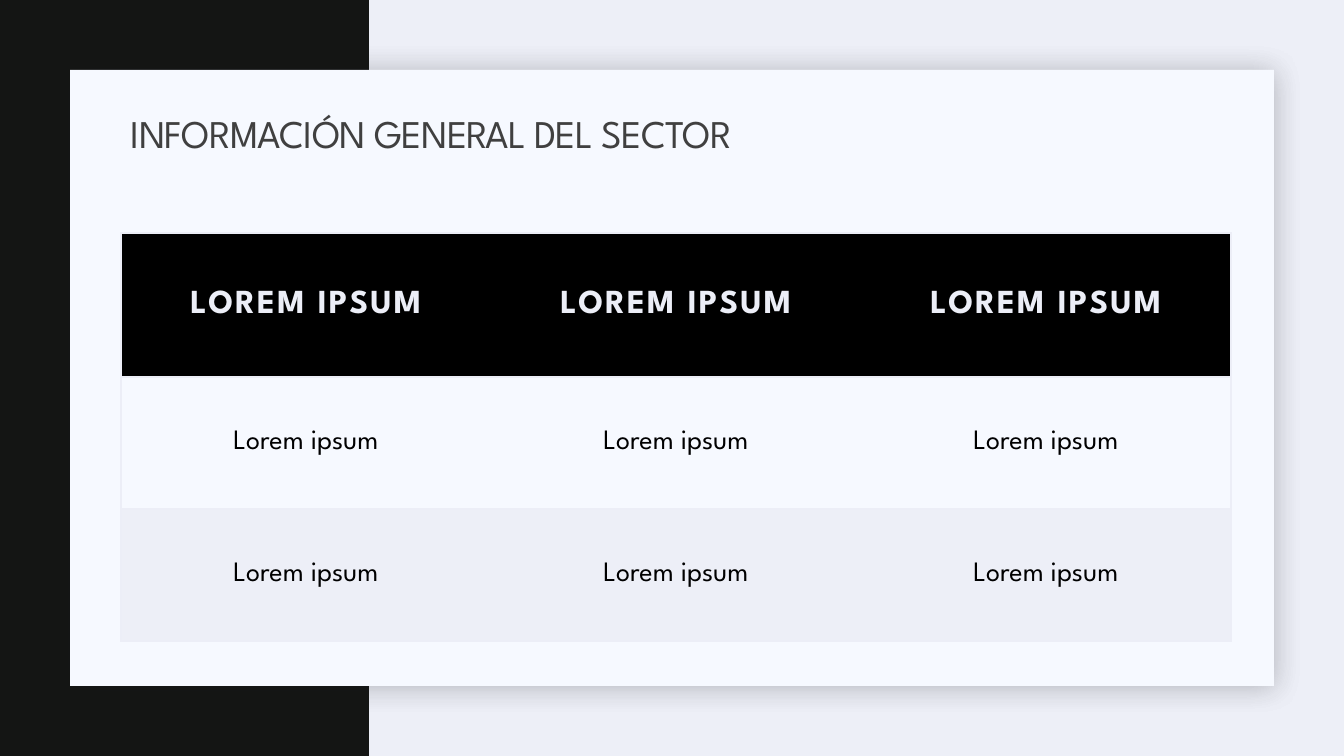
import lxml.etree
import pptx
import pptx.dml.color
import pptx.enum.shapes
import pptx.enum.text
import pptx.oxml
import pptx.oxml.ns
import pptx.util

RGBColor = pptx.dml.color.RGBColor
BACKGROUND = RGBColor(0xED, 0xEF, 0xF7)
CARD = RGBColor(0xF6, 0xF9, 0xFF)
PANEL = RGBColor(0x14, 0x15, 0x14)
SHADOW = RGBColor(0x1F, 0x21, 0x25)
BORDER = RGBColor(0xEC, 0xEE, 0xF7)
TITLE = RGBColor(0x40, 0x40, 0x40)
BLACK = RGBColor(0, 0, 0)

SLIDE_WIDTH, SLIDE_HEIGHT = 1344, 756
EMU_PER_PX = 12192000 / SLIDE_WIDTH
NAMESPACE = pptx.oxml.ns.nsdecls("a")


def px(length):
    return pptx.util.Emu(round(length * EMU_PER_PX))


class SlideBuilder:
    font_name = "League Spartan"

    def __init__(self, presentation):
        self.slide = presentation.slides.add_slide(presentation.slide_layouts[6])
        fill = self.slide.background.fill
        fill.solid()
        fill.fore_color.rgb = BACKGROUND

    def rectangle(self, left, top, width, height, color):
        shape = self.slide.shapes.add_shape(
            pptx.enum.shapes.MSO_SHAPE.RECTANGLE, px(left), px(top), px(width), px(height))
        shape.shadow.inherit = False
        shape.fill.solid()
        shape.fill.fore_color.rgb = color
        shape.line.fill.background()
        return shape

    def card(self, left, top, width, height):
        """Add a light rectangle with a soft shadow to the lower right."""
        shape = self.rectangle(left, top, width, height, CARD)
        effects = shape.element.spPr.find(pptx.oxml.ns.qn("a:effectLst"))
        effects.append(pptx.oxml.parse_xml(
            f'<a:outerShdw {NAMESPACE} blurRad="{pptx.util.Pt(20)}" '
            f'dist="{pptx.util.Pt(2)}" dir="2700000" algn="tl" rotWithShape="0">'
            f'<a:srgbClr val="{SHADOW}"><a:alpha val="15000"/></a:srgbClr></a:outerShdw>'))

    def style(self, paragraph, size, color, spacing=0, bold=False):
        """Set the paragraph font; spacing is the letter spacing in points."""
        font = paragraph.font
        font.name = self.font_name
        font.size = pptx.util.Pt(size)
        font.bold = bold
        font.color.rgb = color
        properties = paragraph._p.pPr.find(pptx.oxml.ns.qn("a:defRPr"))
        properties.set("spc", str(round(spacing * 100)))

    def title(self, left, top, width, height, text):
        frame = self.slide.shapes.add_textbox(
            px(left), px(top), px(width), px(height)).text_frame
        frame.word_wrap = True
        frame.vertical_anchor = pptx.enum.text.MSO_ANCHOR.MIDDLE
        paragraph = frame.paragraphs[0]
        paragraph.text = text
        paragraph.line_spacing = 0.9
        self.style(paragraph, 28, TITLE, spacing=-0.5)

    def borders(self, cell, visible_sides):
        """Draw the visible sides (letters of LRTB) and hide the others."""
        properties = cell._tc.get_or_add_tcPr()
        for position, side in enumerate("LRTB"):
            line = pptx.oxml.parse_xml(
                f'<a:ln{side} {NAMESPACE} w="{pptx.util.Pt(1)}"/>')
            if side in visible_sides:
                fill = lxml.etree.SubElement(line, pptx.oxml.ns.qn("a:solidFill"))
                lxml.etree.SubElement(
                    fill, pptx.oxml.ns.qn("a:srgbClr"), val=str(BORDER))
            else:
                lxml.etree.SubElement(line, pptx.oxml.ns.qn("a:noFill"))
            properties.insert(position, line)

    def table(self, left, top, column_width, row_heights, row_fills, rows):
        column_count = len(rows[0])
        table = self.slide.shapes.add_table(
            len(rows), column_count, px(left), px(top),
            px(column_width * column_count), px(sum(row_heights))).table
        for column in table.columns:
            column.width = px(column_width)
        for row_index, texts in enumerate(rows):
            table.rows[row_index].height = px(row_heights[row_index])
            for column_index, text in enumerate(texts):
                cell = table.cell(row_index, column_index)
                cell.fill.solid()
                cell.fill.fore_color.rgb = row_fills[row_index]
                cell.margin_left = cell.margin_right = px(25)
                cell.margin_top = cell.margin_bottom = px(25)
                cell.vertical_anchor = pptx.enum.text.MSO_ANCHOR.MIDDLE
                paragraph = cell.text_frame.paragraphs[0]
                paragraph.text = text
                paragraph.alignment = pptx.enum.text.PP_ALIGN.CENTER
                if row_index == 0:
                    self.style(paragraph, 24, BORDER, spacing=1.5, bold=True)
                else:
                    self.style(paragraph, 20, BLACK)
                outer_left = "L" if column_index == 0 else ""
                outer_right = "R" if column_index == column_count - 1 else ""
                self.borders(cell, "TB" + outer_left + outer_right)


def main():
    presentation = pptx.Presentation()
    presentation.slide_width = px(SLIDE_WIDTH)
    presentation.slide_height = px(SLIDE_HEIGHT)
    builder = SlideBuilder(presentation)

    card_box = (70, 70, 1204, 616)
    builder.card(*card_box)
    builder.rectangle(0, 0, 369, SLIDE_HEIGHT, PANEL)
    builder.card(*card_box)

    builder.table(
        121, 233, 370, [144, 132, 132], [BLACK, CARD, BACKGROUND],
        [["LOREM IPSUM"] * 3, ["Lorem ipsum"] * 3, ["Lorem ipsum"] * 3])
    builder.title(121, 104, 1109, 64, "INFORMACIÓN GENERAL DEL SECTOR")
    presentation.save("out.pptx")


if __name__ == "__main__":
    main()
